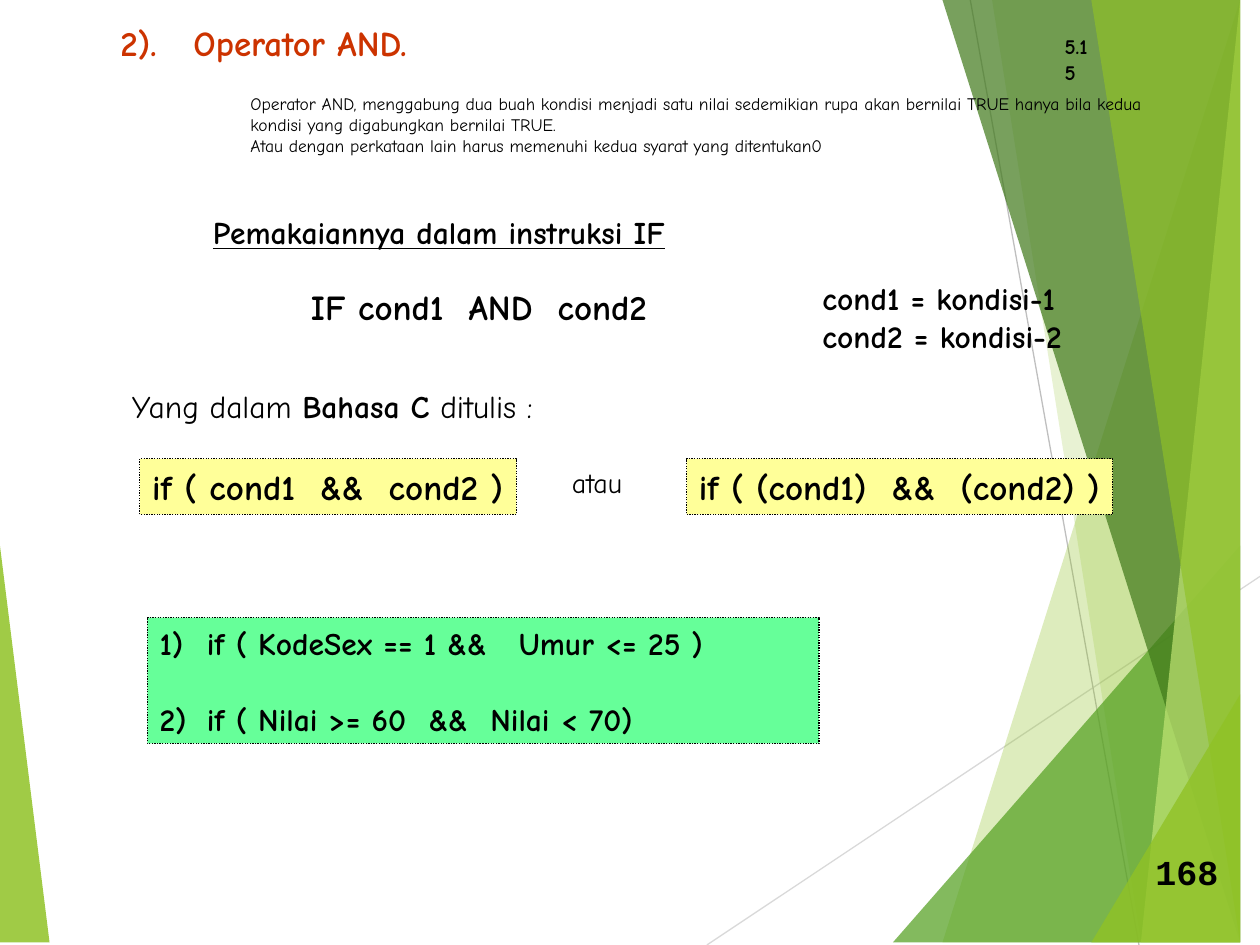
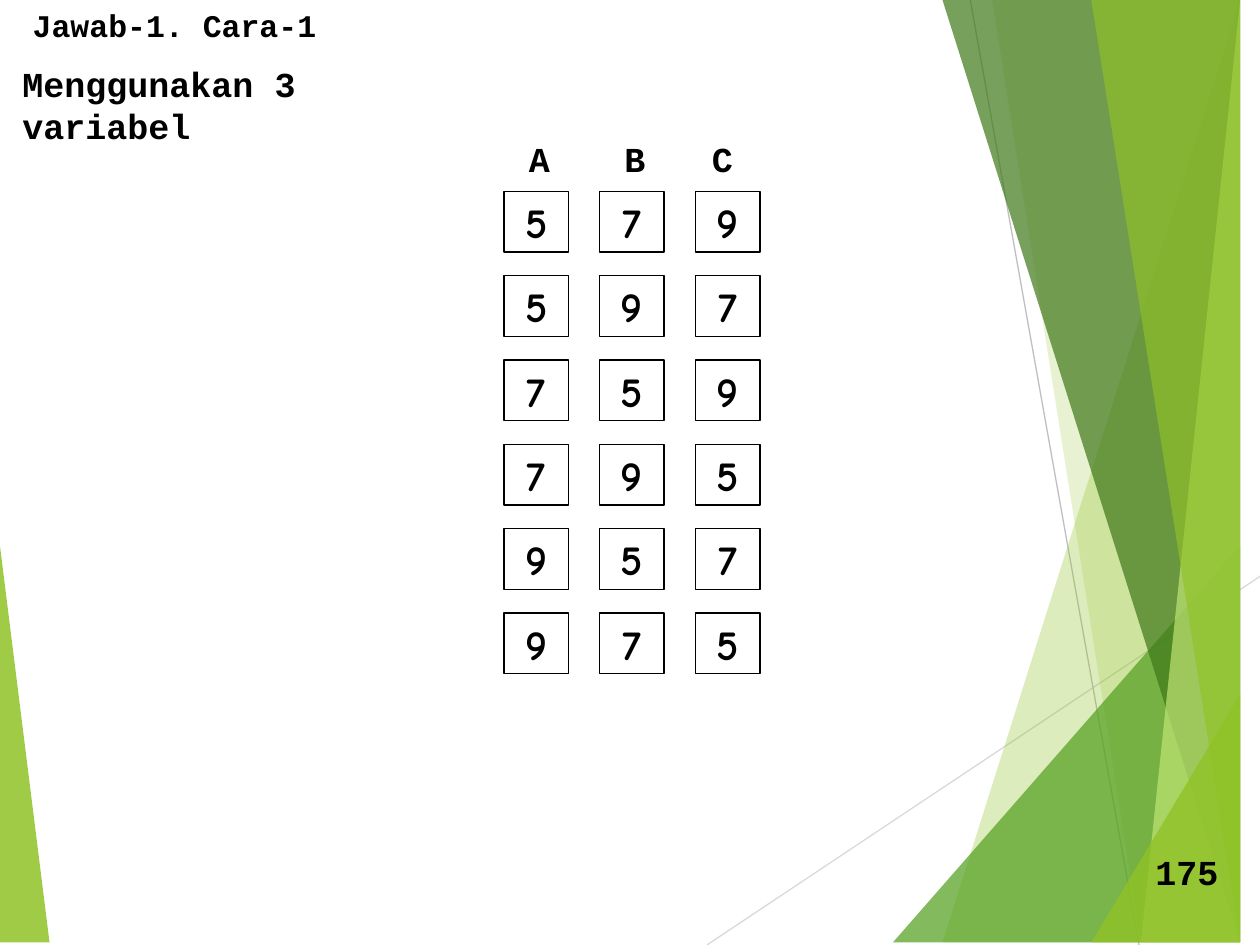
"""Build two slides on the AND operator in C and the orderings of three variables."""
import itertools

import pptx
import pptx.dml.color
import pptx.enum.dml
import pptx.enum.shapes
import pptx.enum.text
import pptx.oxml.ns
import pptx.util
from lxml import etree

Cm = pptx.util.Cm
WIDTH, HEIGHT = 25.4, 19.05
COLORS = {
    "text": "000000", "title": "CC3300", "code": "FFFF99", "example": "66FF99",
    "lime": "90C226", "green": "54A021", "forest": "3F7819", "pale": "C0E474",
    "ray": "D9D9D9", "edge": "BFBFBF",
}
COMIC, COURIER = "Comic Neue", "Courier New"

RAYS = [
    ((14.25, HEIGHT), (WIDTH, 11.62), "ray"),
    ((19.56, 0), (22.96, HEIGHT), "edge"),
]
RIGHT_SIDE = [(WIDTH, HEIGHT), (WIDTH, 0)]
FACETS = [
    ([(0, 11.15), (1.24, HEIGHT), (0, HEIGHT)], "lime", 85),
    ([(24.77, 0), (19.15, HEIGHT), *RIGHT_SIDE], "lime", 30),
    ([(20.02, 0), (23.37, HEIGHT), *RIGHT_SIDE], "lime", 20),
    ([(18.44, HEIGHT), (WIDTH, 10.9), (WIDTH, HEIGHT)], "green", 72),
    ([(19.48, 0), (24.64, HEIGHT), *RIGHT_SIDE], "forest", 70),
    ([(24.92, 0), (23.04, HEIGHT), *RIGHT_SIDE], "pale", 70),
    ([(22.43, 0), (25.04, HEIGHT), *RIGHT_SIDE], "lime", 65),
    ([(22.4, HEIGHT), (WIDTH, 13.59), (WIDTH, HEIGHT)], "lime", 80),
]
PAGE_NUMBER_BOX = (23.04, 17.02, 1.78, 1.12)

BOLD_18 = {"size": 18, "bold": True}
BOLD_20 = {"size": 20, "bold": True}
COURIER_18 = {**BOLD_18, "name": COURIER}
COURIER_20 = {**BOLD_20, "name": COURIER}

AND_PAGE = "168"
AND_TEXTS = [
    ((2.18, 0.3, 6.35, 1.12), ["2).\tOperator AND."], BOLD_20,
     {"color": "title", "tabs": [1.47]}),
    ((4.8, 1.75, 18.62, 1.52), [
        "Operator AND, menggabung dua buah kondisi menjadi satu nilai sedemikian rupa "
        "akan bernilai TRUE hanya bila kedua kondisi yang digabungkan bernilai TRUE.",
        "Atau dengan perkataan lain harus memenuhi kedua syarat yang ditentukan0",
    ], {"size": 10}, {"wrap": True}),
    ((4.04, 4.17, 9.63, 1.02), ["Pemakaiannya dalam instruksi IF"],
     {**BOLD_18, "underline": True}, {}),
    ((6.02, 5.64, 7.29, 1.12), ["IF cond1  AND  cond2"], BOLD_20, {}),
    ((16.33, 5.51, 5.33, 1.78), ["cond1 = kondisi-1", "cond2 = kondisi-2"], BOLD_18, {}),
    ((2.97, 12.45, 13.54, 2.54), [
        "1)\tif ( KodeSex == 1 &&\tUmur <= 25 )",
        "2)\tif ( Nilai >= 60  &&  Nilai < 70)",
    ], BOLD_18, {"fill": "example", "wrap": True, "tabs": [0.95, 7.24], "gap": 21.7}),
    ((21.21, 0.56, 1.19, 0.76), ["5.15"], {"size": 12, "bold": True}, {}),
    ((2.41, 7.67, 8.61, 1.02),
     [[("Yang dalam ", {}), ("Bahasa C", {"bold": True}), (" ditulis :", {})]],
     {"size": 18}, {}),
    ((2.82, 9.25, 7.59, 1.12), ["if ( cond1  &&  cond2 )"], BOLD_20, {"fill": "code"}),
    ((11.28, 9.27, 1.52, 0.94), ["atau"], {"size": 16}, {}),
    ((13.84, 9.25, 8.59, 1.12), ["if ( (cond1)  &&  (cond2) )"], BOLD_20, {"fill": "code"}),
]

ORDER_PAGE = "175"
ORDER_TEXTS = [
    ((0.41, 0, 6.22, 1.02), ["Jawab-1. Cara-1"], COURIER_18, {}),
    ((0.2, 1.14, 9.83, 1.12), ["Menggunakan 3 variabel"], COURIER_20, {}),
]
VARIABLES = [("A", 10.41), ("B", 12.34), ("C", 14.1)]
ORDERINGS = list(itertools.permutations("579"))
CELL_LEFT, CELL_TOP, CELL_WIDTH, CELL_HEIGHT = 10.16, 3.86, 1.3, 1.22
COLUMN_STEP, ROW_STEP = 1.93, 1.7


def rgb(color):
    return pptx.dml.color.RGBColor.from_string(COLORS[color])


def write(shape, paragraphs, font, color="text", wrap=False, tabs=(), gap=0, centered=False):
    frame = shape.text_frame
    frame.word_wrap = wrap
    fit, anchor = pptx.enum.text.MSO_AUTO_SIZE, pptx.enum.text.MSO_ANCHOR
    frame.auto_size = fit.NONE if centered else fit.SHAPE_TO_FIT_TEXT
    frame.vertical_anchor = anchor.MIDDLE if centered else anchor.TOP
    align = pptx.enum.text.PP_ALIGN
    for index, content in enumerate(paragraphs):
        paragraph = frame.add_paragraph() if index else frame.paragraphs[0]
        paragraph.alignment = align.CENTER if centered else align.LEFT
        if index and gap:
            paragraph.space_before = pptx.util.Pt(gap)
        if tabs:
            properties = paragraph._p.get_or_add_pPr()
            stops = etree.SubElement(properties, pptx.oxml.ns.qn("a:tabLst"))
            for stop in tabs:
                etree.SubElement(stops, pptx.oxml.ns.qn("a:tab"), pos=str(Cm(stop)), algn="l")
        runs = [(content, {})] if isinstance(content, str) else content
        for words, changes in runs:
            run = paragraph.add_run()
            run.text = words
            for key, value in {"name": COMIC, "bold": False, **font, **changes}.items():
                setattr(run.font, key, pptx.util.Pt(value) if key == "size" else value)
            run.font.color.rgb = rgb(color)


def add_frame(slide, box, fill=None, dotted=False):
    frame = slide.shapes.add_shape(
        pptx.enum.shapes.MSO_SHAPE.RECTANGLE, *map(Cm, box))
    frame.shadow.inherit = False
    if fill:
        frame.fill.solid()
        frame.fill.fore_color.rgb = rgb(fill)
    else:
        frame.fill.background()
    frame.line.color.rgb = rgb("text")
    frame.line.width = pptx.util.Pt(0.75)
    if dotted:
        frame.line.dash_style = pptx.enum.dml.MSO_LINE.ROUND_DOT
    return frame


def add_text(slide, box, paragraphs, font, options):
    options = dict(options)
    fill = options.pop("fill", None)
    if fill:
        holder = add_frame(slide, box, fill, dotted=True)
    else:
        holder = slide.shapes.add_textbox(*map(Cm, box))
    write(holder, paragraphs, font, **options)


def add_backdrop(slide):
    for start, end, color in RAYS:
        ray = slide.shapes.add_connector(
            pptx.enum.shapes.MSO_CONNECTOR.STRAIGHT, *map(Cm, start + end))
        ray.line.color.rgb = rgb(color)
        ray.line.width = pptx.util.Pt(0.75)
        etree.SubElement(ray._element.spPr, pptx.oxml.ns.qn("a:effectLst"))
    for (start, *corners), color, opacity in FACETS:
        outline = slide.shapes.build_freeform(*start, scale=Cm(1))
        outline.add_line_segments(corners, close=True)
        facet = outline.convert_to_shape()
        facet.shadow.inherit = False
        facet.line.fill.background()
        facet.fill.solid()
        facet.fill.fore_color.rgb = rgb(color)
        tint = facet._element.spPr.find(".//" + pptx.oxml.ns.qn("a:srgbClr"))
        etree.SubElement(tint, pptx.oxml.ns.qn("a:alpha"), val=str(opacity * 1000))


def add_slide(deck, texts, page):
    slide = deck.slides.add_slide(deck.slide_layouts[6])
    add_backdrop(slide)
    for text in texts:
        add_text(slide, *text)
    add_text(slide, PAGE_NUMBER_BOX, [page], COURIER_20, {})
    return slide


def add_orderings(slide):
    for variable, left in VARIABLES:
        add_text(slide, (left, 2.64, 0.91, 1.12), [variable], COURIER_20, {})
    for row, ordering in enumerate(ORDERINGS):
        for column, digit in enumerate(ordering):
            cell = add_frame(slide, (CELL_LEFT + column * COLUMN_STEP,
                                     CELL_TOP + row * ROW_STEP, CELL_WIDTH, CELL_HEIGHT))
            write(cell, [digit], {"size": 24, "bold": True}, centered=True)


def main():
    deck = pptx.Presentation()
    deck.slide_width, deck.slide_height = Cm(WIDTH), Cm(HEIGHT)
    add_slide(deck, AND_TEXTS, AND_PAGE)
    add_orderings(add_slide(deck, ORDER_TEXTS, ORDER_PAGE))
    deck.save("out.pptx")


if __name__ == "__main__":
    main()
